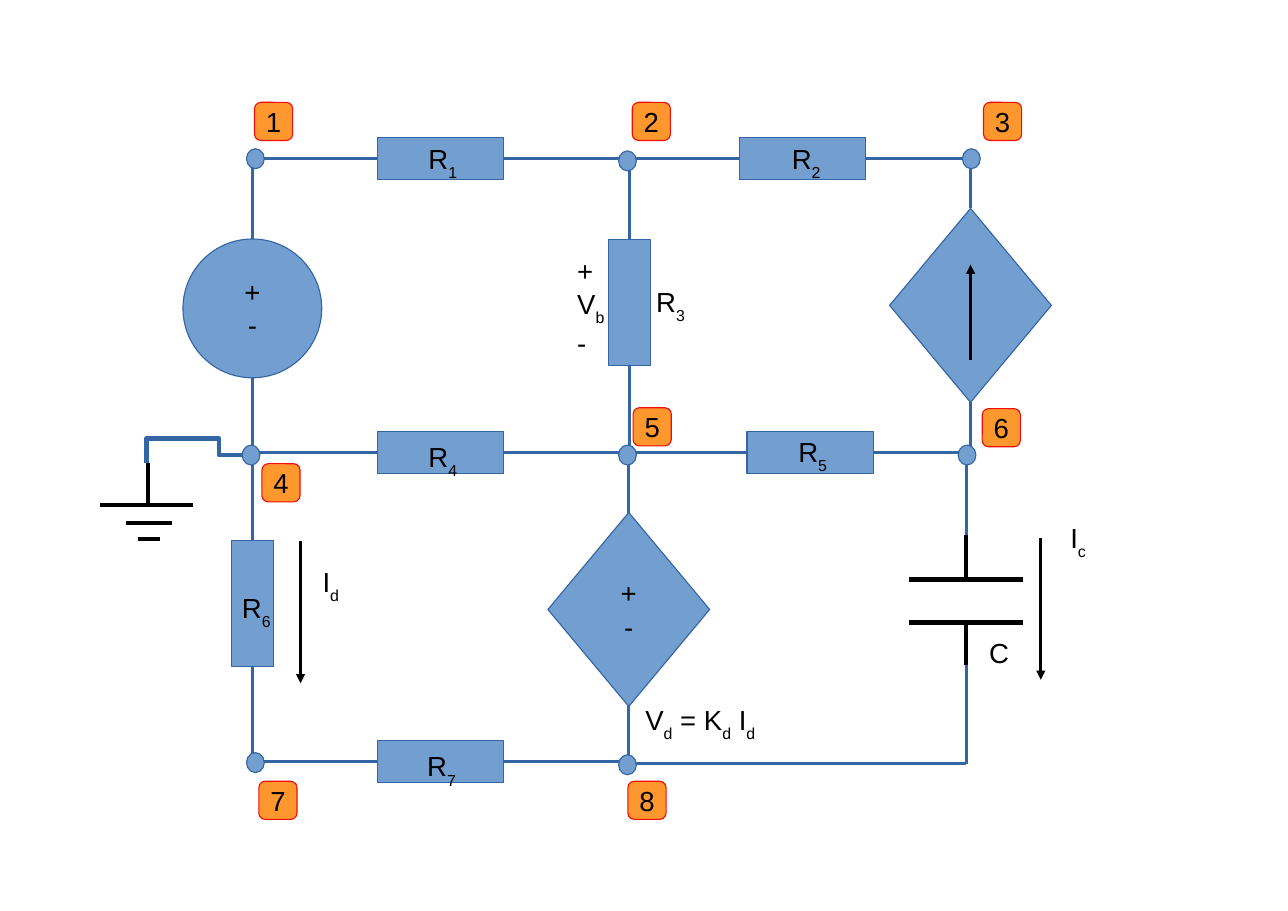
from pptx import Presentation
from pptx.dml.color import RGBColor
from pptx.enum import shapes, text
from pptx.oxml import ns, xmlchemy
from pptx.util import Cm, Pt

BLUE, NAVY, ORANGE, RED, BLACK = "729FCF", "3465A4", "FF972F", "F10D0C", "000000"
TOP, LEFT, BOTTOM, RIGHT = range(4)
KIND = shapes.MSO_SHAPE
HAIRLINE, THICK = 0, 2.83

# Wire grid in centimetres
LEFT_X, MIDDLE_X, RIGHT_X, CAPACITOR_X = 5.82, 14.5, 22.38, 22.28
TOP_Y, MIDDLE_Y, BOTTOM_Y, RETURN_Y = 3.66, 10.44, 17.55, 17.6
RESISTOR = (2.91, 0.97)
DIAMOND = (3.73, 4.47)


def color(value):
    return RGBColor.from_string(value)


class Circuit:
    """Draws circuit elements on one slide; lengths are centimetres."""

    font, size = "Arial", 18

    def __init__(self, slide):
        self.slide = slide

    def set_lines(self, frame, lines, alignment):
        """Fill a frame; an underscore makes the next character a subscript."""
        for index, line in enumerate(lines):
            paragraph = frame.paragraphs[0] if index == 0 else frame.add_paragraph()
            paragraph.alignment = alignment
            normal, *marked = line.split("_")
            pieces = [(normal, False)]
            for piece in marked:
                pieces += [(piece[:1], True), (piece[1:], False)]
            for content, subscript in pieces:
                if not content:
                    continue
                run = paragraph.add_run()
                run.text = content
                run.font.name, run.font.size = self.font, Pt(self.size)
                run.font.color.rgb = color(BLACK)
                if subscript:
                    run.font._element.set("baseline", "-33000")

    def outline(self, shape, line_color, width):
        shape.line.color.rgb = color(line_color)
        shape.line.width = Pt(width)

    def symbol(self, kind, center, size, lines=(), fill=BLUE, line=NAVY):
        (x, y), (width, height) = center, size
        shape = self.slide.shapes.add_shape(
            kind, Cm(x - width / 2), Cm(y - height / 2), Cm(width), Cm(height))
        shape.shadow.inherit = False
        shape.fill.solid()
        shape.fill.fore_color.rgb = color(fill)
        self.outline(shape, line, HAIRLINE)
        if lines:
            shape.text_frame.word_wrap = False
            shape.text_frame.vertical_anchor = text.MSO_ANCHOR.MIDDLE
            self.set_lines(shape.text_frame, lines, text.PP_ALIGN.CENTER)
        return shape

    def label(self, lines, left, top, width=1.4, height=1.12):
        box = self.slide.shapes.add_textbox(Cm(left), Cm(top), Cm(width), Cm(height))
        box.text_frame.word_wrap = True
        self.set_lines(box.text_frame, lines, text.PP_ALIGN.LEFT)

    def line(self, start, end, line_color=NAVY, width=HAIRLINE, arrow=False):
        connector = self.slide.shapes.add_connector(
            shapes.MSO_CONNECTOR.STRAIGHT, *(Cm(value) for value in (*start, *end)))
        self.outline(connector, line_color, width)
        properties = connector.element.find(ns.qn("p:spPr"))
        if arrow:
            tail = xmlchemy.OxmlElement("a:tailEnd")
            tail.set("type", "triangle")
            properties.find(ns.qn("a:ln")).append(tail)
        properties.append(xmlchemy.OxmlElement("a:effectLst"))
        return connector

    def wire(self, element, side, target):
        """Run a wire from a side of an element straight to x or y = target."""
        x = (element.left + element.width / 2) / Cm(1)
        y = (element.top + element.height / 2) / Cm(1)
        end = (x, target) if side in (TOP, BOTTOM) else (target, y)
        self.line((x, y), end).begin_connect(element, side)

    def polyline(self, points, line_color, width):
        start, *rest = [(Cm(x), Cm(y)) for x, y in points]
        builder = self.slide.shapes.build_freeform(*start)
        builder.add_line_segments(rest, close=False)
        shape = builder.convert_to_shape()
        shape.shadow.inherit = False
        shape.fill.background()
        self.outline(shape, line_color, width)


def main():
    presentation = Presentation()
    presentation.slide_width, presentation.slide_height = Cm(29.7), Cm(21)
    circuit = Circuit(presentation.slides.add_slide(presentation.slide_layouts[6]))

    # Resistors and the wires at both their ends
    for x, y, start, end in [
        (10.16, TOP_Y, LEFT_X, MIDDLE_X), (18.5, TOP_Y, MIDDLE_X, RIGHT_X),
        (10.16, MIDDLE_Y, LEFT_X, MIDDLE_X), (18.68, MIDDLE_Y, MIDDLE_X, CAPACITOR_X),
        (10.16, BOTTOM_Y, LEFT_X, MIDDLE_X),
    ]:
        resistor = circuit.symbol(KIND.RECTANGLE, (x, y), RESISTOR)
        circuit.wire(resistor, LEFT, start)
        circuit.wire(resistor, RIGHT, end)

    # Upright resistors and dependent sources
    for kind, center, size, lines, start, end in [
        (KIND.RECTANGLE, (14.52, 6.98), RESISTOR[::-1], (), TOP_Y, MIDDLE_Y),
        (KIND.RECTANGLE, (LEFT_X, 13.92), RESISTOR[::-1], (), MIDDLE_Y, BOTTOM_Y),
        (KIND.DIAMOND, (RIGHT_X, 7.04), DIAMOND, (), TOP_Y, MIDDLE_Y),
        (KIND.DIAMOND, (MIDDLE_X, 14.05), DIAMOND, ("+", "-"), MIDDLE_Y, BOTTOM_Y),
    ]:
        element = circuit.symbol(kind, center, size, lines)
        circuit.wire(element, TOP, start)
        circuit.wire(element, BOTTOM, end)

    # Voltage source and capacitor branch
    circuit.symbol(KIND.OVAL, (LEFT_X, 7.11), (3.2, 3.2), ("+", "-"))
    for start, end in [
        ((LEFT_X, TOP_Y), (LEFT_X, 5.51)), ((LEFT_X, 8.71), (LEFT_X, MIDDLE_Y)),
        ((CAPACITOR_X, MIDDLE_Y), (CAPACITOR_X, 12.34)),
        ((CAPACITOR_X, 15.34), (CAPACITOR_X, RETURN_Y)),
        ((CAPACITOR_X, RETURN_Y), (MIDDLE_X, RETURN_Y)),
    ]:
        circuit.line(start, end)
    for plate_y, lead_y in [(13.36, 12.34), (14.35, 15.34)]:
        circuit.line((CAPACITOR_X, lead_y), (CAPACITOR_X, plate_y), BLACK, THICK)
        circuit.line((20.96, plate_y), (23.6, plate_y), BLACK, THICK)

    # Ground
    circuit.polyline([(5.59, 10.49), (5.05, 10.49), (5.05, 10.11), (3.38, 10.11),
                      (3.38, 10.67)], NAVY, THICK)
    circuit.line((3.42, 10.67), (3.42, 11.62), BLACK, THICK)
    for left, right, y in [(2.31, 4.45, 11.64), (2.9, 3.96, 12.06), (3.18, 3.68, 12.43)]:
        circuit.line((left, y), (right, y), BLACK, THICK)

    # Current directions
    for x, start, end in [(RIGHT_X, 8.31, 6.1), (6.93, 12.47, 15.75), (24, 12.4, 15.67)]:
        circuit.line((x, start), (x, end), BLACK, arrow=True)

    for name, left, top in [
        ("R_1", 9.63, 3.15), ("R_2", 18.01, 3.15), ("R_3", 14.88, 6.45),
        ("R_4", 9.63, 10.01), ("R_5", 18.16, 9.91), ("R_6", 5.33, 13.49),
        ("R_7", 9.6, 17.15), ("I_c", 24.43, 11.89), ("I_d", 7.19, 12.9),
        ("C", 22.56, 14.53),
    ]:
        circuit.label([name], left, top)
    circuit.label(["+", "V_b", "-"], 13.06, 5.72, height=2.54)
    circuit.label(["V_d = K_d I_d"], 14.63, 16.08, width=5.59)

    # Node dots with their numbered badges, in node order
    nodes = [
        ((5.89, 3.66), (6.31, 2.8)), ((14.47, 3.71), (15.02, 2.8)),
        ((22.4, 3.66), (23.12, 2.8)), ((5.79, 10.49), (6.48, 11.13)),
        ((14.47, 10.49), (15.04, 9.84)), ((22.3, 10.49), (23.09, 9.86)),
        ((5.89, 17.58), (6.41, 18.45)), ((14.47, 17.63), (14.92, 18.45)),
    ]
    for number, (dot, badge) in enumerate(nodes, 1):
        circuit.symbol(KIND.OVAL, dot, (0.41, 0.46))
        circuit.symbol(KIND.ROUNDED_RECTANGLE, badge, (0.88, 0.88),
                       [str(number)], ORANGE, RED)

    presentation.save("out.pptx")


if __name__ == "__main__":
    main()
